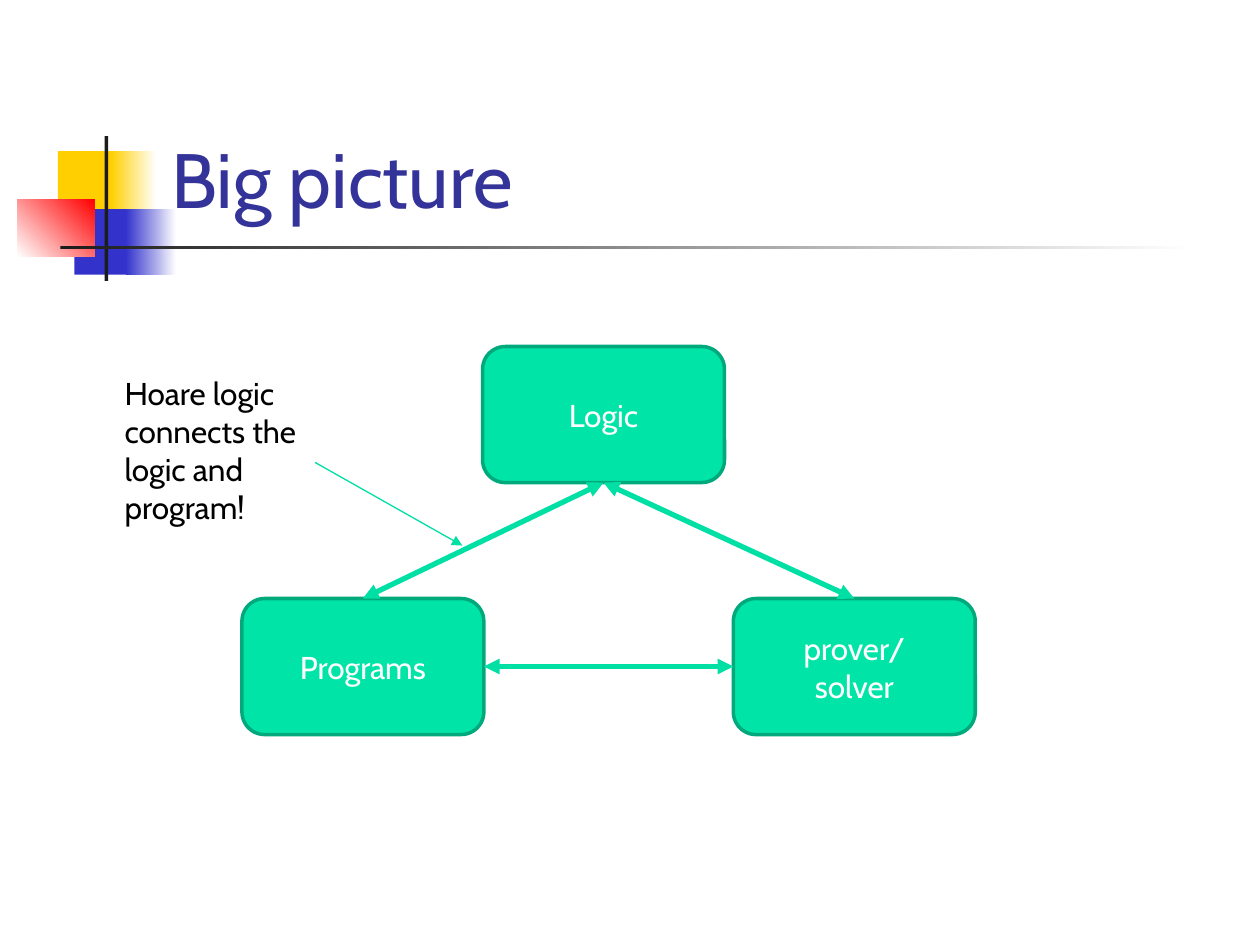
from lxml import etree
from pptx import Presentation
from pptx import util as u
from pptx.dml.color import RGBColor
from pptx.enum import shapes, text
from pptx.oxml.ns import qn

THEME = {
    "font": "Cabin", "title_size": 44, "body_size": 18,
    "title": "333399", "white": "FFFFFF", "black": "000000",
    "yellow": "FFCF01", "blue": "3333CC", "red": "FF0000", "dark": "1C1C1C",
    "box": "00E4A8", "box_line": "00A97C", "arrow": "00DFA4",
}


def add_text(p, words, size, color):
    r = p.add_run()
    r.text = words
    r.font.name = THEME["font"]
    r.font.size = u.Pt(THEME[size])
    r.font.color.rgb = RGBColor.from_string(THEME[color])


def add_arrow(start, end, width, ends):
    line = s.shapes.add_connector(
        shapes.MSO_CONNECTOR.STRAIGHT, *[u.Inches(v) for v in start + end])
    line.line.color.rgb = RGBColor.from_string(THEME["arrow"])
    line.line.width = u.Pt(width)
    for tag in ends:
        etree.SubElement(line.line._get_or_add_ln(), qn(tag), type="triangle")
    etree.SubElement(line._element.spPr, qn("a:effectLst"))
    return line


prs = Presentation()
prs.slide_width, prs.slide_height = u.Inches(10), u.Inches(7.5)
s = prs.slides.add_slide(prs.slide_layouts[5])

decorations = [
    (0.46, 1.2, 0.48, 0.52, ["yellow"], 0),
    (0.88, 1.2, 0.36, 0.52, ["yellow", "white"], 0),
    (0.59, 1.66, 0.46, 0.52, ["blue"], 0),
    (1, 1.66, 0.4, 0.52, ["blue", "white"], 0),
    (0.14, 1.58, 0.61, 0.46, ["white", "red"], 45),
    (0.83, 1.08, 0.03, 1.15, ["dark"], 0),
    (0.48, 1.95, 9, 0.03, ["dark", "white"], 0),
]
for *place, colors, angle in decorations:
    block = s.shapes.add_shape(
        shapes.MSO_SHAPE.RECTANGLE, *[u.Inches(v) for v in place])
    block.shadow.inherit = False
    block.line.fill.background()
    if len(colors) == 1:
        block.fill.solid()
        block.fill.fore_color.rgb = RGBColor.from_string(THEME[colors[0]])
    else:
        block.fill.gradient()
        block.fill.gradient_angle = angle
        for stop, color, position in zip(block.fill.gradient_stops, colors, (0, 1)):
            stop.color.rgb = RGBColor.from_string(THEME[color])
            stop.position = position

title = s.shapes.title
title.left, title.top = u.Inches(1.26), u.Inches(0.23)
title.width, title.height = u.Inches(8.52), u.Inches(1.6)
s.shapes._spTree.append(title._element)
tf = title.text_frame
tf.auto_size = text.MSO_AUTO_SIZE.NONE
tf.vertical_anchor = text.MSO_ANCHOR.BOTTOM
tf.paragraphs[0].alignment = text.PP_ALIGN.LEFT
add_text(tf.paragraphs[0], "Big picture", "title_size", "title")

box_w, box_h = 1.92, 1.08
boxes = {
    "logic": (3.83, 2.75, ["Logic"]),
    "programs": (1.92, 4.75, ["Programs"]),
    "solver": (5.82, 4.75, ["prover/", "solver"]),
}
for left, top, lines in boxes.values():
    box = s.shapes.add_shape(
        shapes.MSO_SHAPE.ROUNDED_RECTANGLE,
        *[u.Inches(v) for v in (left, top, box_w, box_h)])
    box.shadow.inherit = False
    box.fill.solid()
    box.fill.fore_color.rgb = RGBColor.from_string(THEME["box"])
    box.line.color.rgb = RGBColor.from_string(THEME["box_line"])
    box.line.width = u.Pt(2)
    tf = box.text_frame
    tf.vertical_anchor = text.MSO_ANCHOR.MIDDLE
    for i, words in enumerate(lines):
        p = tf.add_paragraph() if i else tf.paragraphs[0]
        p.alignment = text.PP_ALIGN.CENTER
        add_text(p, words, "body_size", "white")

both_ends = ["a:headEnd", "a:tailEnd"]
middle = {name: left + box_w / 2 for name, (left, top, lines) in boxes.items()}
logic_bottom = (middle["logic"], boxes["logic"][1] + box_h)
row_top = boxes["programs"][1]
row_middle = row_top + box_h / 2
add_arrow((middle["programs"], row_top), logic_bottom, 3, both_ends)
add_arrow((boxes["programs"][0] + box_w, row_middle),
          (boxes["solver"][0], row_middle), 3, both_ends)
add_arrow((middle["solver"], row_top), logic_bottom, 3, both_ends)

note = s.shapes.add_textbox(*[u.Inches(v) for v in (0.89, 2.92, 1.7, 1.31)])
tf = note.text_frame
tf.word_wrap = True
tf.auto_size = text.MSO_AUTO_SIZE.SHAPE_TO_FIT_TEXT
add_text(tf.paragraphs[0], "Hoare logic connects the logic and program!",
         "body_size", "black")
add_arrow((2.5, 3.67), (3.67, 4.33), 0.75, ["a:tailEnd"])

prs.save("out.pptx")
